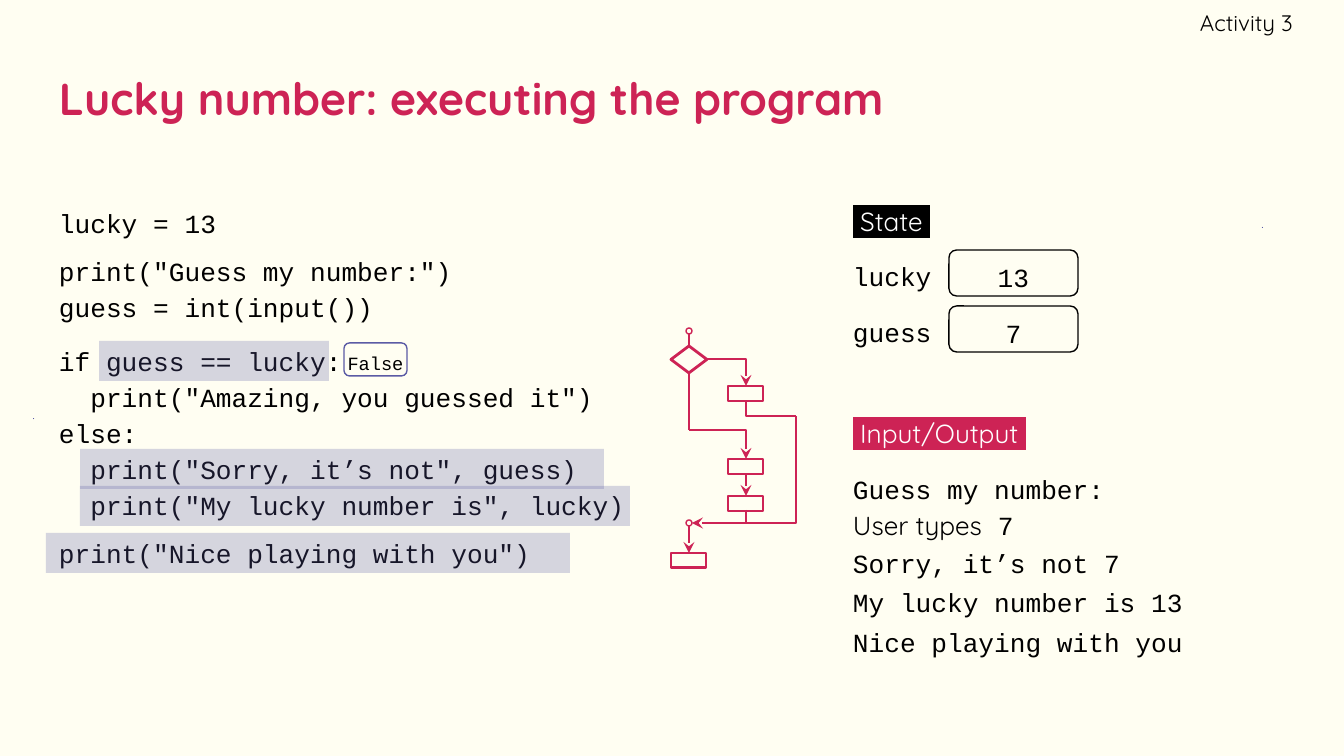
from dataclasses import dataclass

from lxml.etree import SubElement
from pptx import Presentation
from pptx.dml.color import RGBColor
from pptx.enum.shapes import MSO_CONNECTOR, MSO_SHAPE
from pptx.enum.text import MSO_ANCHOR, PP_ALIGN
from pptx.oxml.ns import qn
from pptx.util import Emu, Pt


@dataclass(frozen=True)
class Theme:
    paper: RGBColor = RGBColor(0xFF, 0xFE, 0xF2)
    ink: RGBColor = RGBColor(0, 0, 0)
    white: RGBColor = RGBColor(0xFF, 0xFF, 0xFF)
    accent: RGBColor = RGBColor(0xCD, 0x23, 0x55)
    marker: RGBColor = RGBColor(0x5B, 0x5B, 0xA5)
    prose: str = "Quicksand"
    mono: str = "Courier New"
    title: float = 24
    body: float = 14
    header: float = 12
    small: float = 10
    thin: float = 0.75
    thick: float = 1.5


THEME = Theme()
EMU_PER_PX = 914400 / 134.4

# Content: code lines with the space above each, in points
TITLE = "Lucky number: executing the program"
ACTIVITY = "Activity 3"
CODE = [
    ("lucky = 13", 0),
    ('print("Guess my number:")', 6),
    ("guess = int(input())", 0),
    ("if guess == lucky:", 10),
    ('  print("Amazing, you guessed it")', 0),
    ("else:", 0),
    ('  print("Sorry, it’s not", guess)', 0),
    ('  print("My lucky number is", lucky)', 0),
    ('print("Nice playing with you")', 6),
]
EXECUTED = [(99, 341, 230), (80, 449, 524), (80, 486, 550), (46, 533, 524)]
CONDITION = "False"
HEADINGS = [(" State ", 188, THEME.ink), (" Input/Output ", 400, THEME.accent)]
STATE = [("lucky", "13"), ("guess", "7")]
CONSOLE = [
    (456, ["Guess my number:"]),
    (492, ["User types", " 7"]),
    (530, ["Sorry, it’s not 7"]),
    (569, ["My lucky number is 13"]),
    (609, ["Nice playing with you"]),
]

# Flowchart: main column, branch column and the bypass on the right
MAIN, BRANCH, BYPASS = 689, 746, 796
JOIN = 523
STEPS = [  # centre, top, line width
    (BRANCH, 386, THEME.thin),
    (BRANCH, 459, THEME.thick),
    (BRANCH, 496, THEME.thick),
    (MAIN, 553, THEME.thick),
]
FLOWS = [  # start, end, line width, arrow
    ((MAIN, 334), (MAIN, 346), THEME.thin, False),
    ((707, 359), (BRANCH, 386), THEME.thin, True),
    ((BYPASS, 416), (BRANCH, 401), THEME.thin, False),
    ((BRANCH, JOIN), (BYPASS, 416), THEME.thin, False),
    ((MAIN, 373), (MAIN, 430), THEME.thick, False),
    ((MAIN, 430), (BRANCH, 459), THEME.thick, True),
    ((BRANCH, 474), (BRANCH, 496), THEME.thick, True),
    ((BRANCH, 510), (BRANCH, JOIN), THEME.thick, False),
    ((BRANCH, JOIN), (692, JOIN), THEME.thick, True),
    ((MAIN, 526), (MAIN, 553), THEME.thick, True),
]
SPECKS = [(1262, 227), (33, 418)]


def px(*lengths):
    return [Emu(round(length * EMU_PER_PX)) for length in lengths]


presentation = Presentation()
presentation.slide_width, presentation.slide_height = px(1344, 756)
slide = presentation.slides.add_slide(presentation.slide_layouts[6])
slide.background.fill.solid()
slide.background.fill.fore_color.rgb = THEME.paper


def set_font(font, size, name, color):
    font.size, font.name = Pt(size), name
    font.color.rgb = color


def set_frame(frame, insets, anchor):
    frame.word_wrap = True
    frame.vertical_anchor = anchor
    (frame.margin_left, frame.margin_top,
     frame.margin_right, frame.margin_bottom) = px(*insets)


def add_text(box, lines, size=THEME.body, name=THEME.mono, color=THEME.ink,
             spacing=1.15, insets=(13, 13, 13, 13), anchor=MSO_ANCHOR.TOP):
    """Each line is (list of runs, points above)."""
    frame = slide.shapes.add_textbox(*px(*box)).text_frame
    set_frame(frame, insets, anchor)
    for index, (runs, above) in enumerate(lines):
        paragraph = frame.paragraphs[0] if index == 0 else frame.add_paragraph()
        paragraph.line_spacing = spacing
        paragraph.space_before = Pt(above)
        set_font(paragraph.font, size, name, color)
        for words in runs:
            paragraph.add_run().text = words
    return frame.paragraphs[0]


def add_outline(kind, box, color, width):
    shape = slide.shapes.add_shape(kind, *px(*box))
    shape.shadow.inherit = False
    shape.fill.background()
    shape.line.color.rgb = color
    shape.line.width = Pt(width)
    return shape


def add_solid(kind, box, color, opacity=100):
    shape = slide.shapes.add_shape(kind, *px(*box))
    shape.shadow.inherit = False
    shape.line.fill.background()
    shape.fill.solid()
    shape.fill.fore_color.rgb = color
    if opacity < 100:
        tint = shape.fill._xPr.find(qn("a:solidFill"))[0]
        SubElement(tint, qn("a:alpha"), val=str(opacity * 1000))


def add_value(box, value, size, color, side_inset):
    shape = add_outline(MSO_SHAPE.ROUNDED_RECTANGLE, box, color, THEME.thin)
    set_frame(shape.text_frame, (side_inset, 3, side_inset, 0), MSO_ANCHOR.MIDDLE)
    paragraph = shape.text_frame.paragraphs[0]
    paragraph.alignment = PP_ALIGN.CENTER
    paragraph.line_spacing = 1.15
    set_font(paragraph.font, size, THEME.mono, THEME.ink)
    paragraph.add_run().text = value


def add_flow(start, end, width, arrow):
    straight = start[0] == end[0] or start[1] == end[1]
    kind = MSO_CONNECTOR.STRAIGHT if straight else MSO_CONNECTOR.ELBOW
    flow = slide.shapes.add_connector(kind, *px(*start, *end))
    flow.line.color.rgb = THEME.accent
    flow.line.width = Pt(width)
    properties = flow._element.spPr
    if not straight:  # one corner: across, then up or down
        properties.find(qn("a:prstGeom")).set("prst", "bentConnector2")
    if arrow:
        SubElement(properties.find(qn("a:ln")), qn("a:tailEnd"), type="stealth")
    SubElement(properties, qn("a:effectLst"))


# Header and title
add_text((1005, 0, 288, 46), [([ACTIVITY], 0)], THEME.header, THEME.prose,
         spacing=1.0, insets=(13, 13, 0, 13),
         anchor=MSO_ANCHOR.MIDDLE).alignment = PP_ALIGN.RIGHT
add_text((46, 46, 1253, 103), [([TITLE], 0)], THEME.title, THEME.prose,
         THEME.accent, spacing=1.0, anchor=MSO_ANCHOR.MIDDLE).font.bold = True

# Program, with the executed parts marked
add_text((46, 190, 602, 394), [([code], above) for code, above in CODE])
for left, top, width in EXECUTED:
    add_solid(MSO_SHAPE.RECTANGLE, (left, top, width, 40), THEME.marker, 25)
add_value((344, 343, 63, 33), CONDITION, THEME.small, THEME.marker, 0)

# Flowchart
for flow in FLOWS:
    add_flow(*flow)
for center, top, width in STEPS:
    add_outline(MSO_SHAPE.RECTANGLE, (center - 18, top, 35, 15), THEME.accent, width)
add_outline(MSO_SHAPE.FLOWCHART_DECISION, (671, 346, 36, 27), THEME.accent, THEME.thick)
for middle in (331, JOIN):
    add_outline(MSO_SHAPE.OVAL, (MAIN - 3, middle - 3, 6, 6), THEME.accent, THEME.thin)

# Headings on coloured labels
for heading, top, label in HEADINGS:
    paragraph = add_text((840, top, 239, 54), [([heading], 0)], name=THEME.prose,
                         color=THEME.white, spacing=1.14)
    run_properties = paragraph.runs[0].font._element
    highlight = SubElement(run_properties, qn("a:highlight"))
    SubElement(highlight, qn("a:srgbClr"), val=str(label))

# State
for row, (variable, value) in enumerate(STATE):
    top = 243 + 56 * row
    add_text((840, top, 180, 54), [([variable], 0)])
    add_value((949, top + 7, 129, 46), value, THEME.body, THEME.ink, 13)

# Input and output
for top, words in CONSOLE:
    paragraph = add_text((840, top, 458, 54), [(words, 0)])
    if len(words) > 1:
        paragraph.runs[0].font.name = THEME.prose

# Stray specks
for left, top in SPECKS:
    add_solid(MSO_SHAPE.OVAL, (left, top, 1, 1), THEME.marker)

presentation.save("out.pptx")
